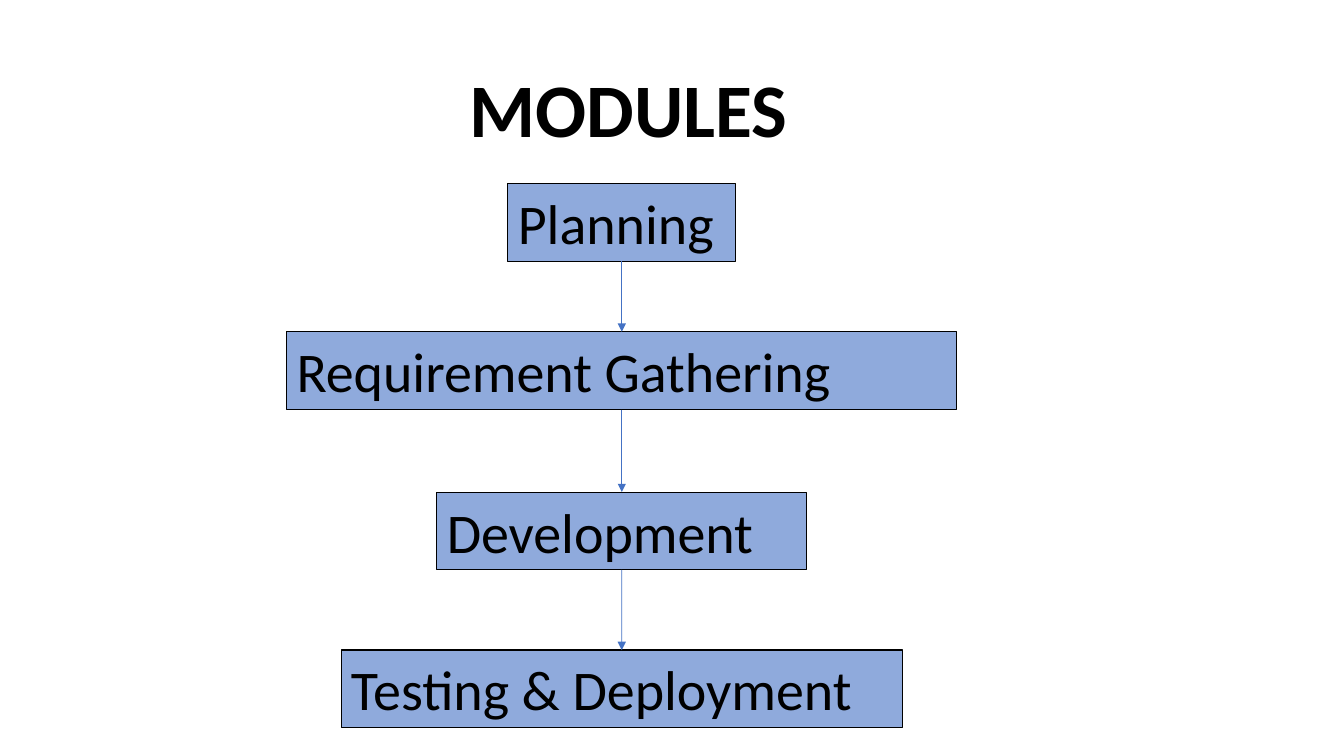
import itertools

import lxml.etree
import pptx
import pptx.dml.color
import pptx.enum.shapes
import pptx.enum.text
import pptx.oxml.ns
import pptx.util

Cm, Pt = pptx.util.Cm, pptx.util.Pt
rgb = pptx.dml.color.RGBColor.from_string
qn = pptx.oxml.ns.qn
text_enum = pptx.enum.text

# Content: heading and the modules as (label, top, width) in cm
HEADING = "MODULES"
MODULES = [
    ("Planning", 4.62, 5.74),
    ("Requirement Gathering", 8.36, 16.89),
    ("Development", 12.4, 9.32),
    ("Testing & Deployment", 16.38, 14.15),
]

# Layout in cm
SLIDE_SIZE = (33.87, 19.05)
HEADING_BOX = (1.24, 1.02, 29.21, 3.68)
FLOW_CENTRE = 15.67
MODULE_HEIGHT = 1.96

THEME = {
    "ink": rgb("000000"),
    "module_fill": rgb("8FAADC"),
    "arrow": rgb("4472C4"),
    "module_border": Pt(0.75),
    "arrow_width": Pt(0.5),
    "heading_font": {"name": "Calibri", "size": Pt(54), "bold": True},
    "module_font": {"name": "Calibri", "size": Pt(40), "bold": False},
}


def write(frame, text, font_format, frame_format, paragraph_format):
    paragraph = frame.paragraphs[0]
    run = paragraph.add_run()
    run.text = text
    run.font.color.rgb = THEME["ink"]
    for target, values in ((run.font, font_format), (frame, frame_format),
                           (paragraph, paragraph_format)):
        for key, value in values.items():
            setattr(target, key, value)


def add_module(slide, label, top, width):
    module = slide.shapes.add_shape(
        pptx.enum.shapes.MSO_SHAPE.RECTANGLE,
        Cm(FLOW_CENTRE - width / 2), Cm(top), Cm(width), Cm(MODULE_HEIGHT))
    module.shadow.inherit = False
    module.fill.solid()
    module.fill.fore_color.rgb = THEME["module_fill"]
    module.line.color.rgb = THEME["ink"]
    module.line.width = THEME["module_border"]
    write(module.text_frame, label, THEME["module_font"],
          {"word_wrap": True,
           "auto_size": text_enum.MSO_AUTO_SIZE.SHAPE_TO_FIT_TEXT,
           "vertical_anchor": text_enum.MSO_ANCHOR.TOP},
          {"alignment": text_enum.PP_ALIGN.LEFT})
    return module


def add_arrow(slide, upper, lower):
    arrow = slide.shapes.add_connector(
        pptx.enum.shapes.MSO_CONNECTOR.STRAIGHT, 0, 0, 0, 0)
    arrow.begin_connect(upper, 2)
    arrow.end_connect(lower, 0)
    arrow.line.color.rgb = THEME["arrow"]
    arrow.line.width = THEME["arrow_width"]
    properties = arrow.element.spPr
    lxml.etree.SubElement(properties.find(qn("a:ln")), qn("a:tailEnd"),
                          type="triangle")
    lxml.etree.SubElement(properties, qn("a:effectLst"))


def main():
    deck = pptx.Presentation()
    deck.slide_width, deck.slide_height = map(Cm, SLIDE_SIZE)
    slide = deck.slides.add_slide(deck.slide_layouts[6])

    # Heading
    heading = slide.shapes.add_textbox(*map(Cm, HEADING_BOX))
    write(heading.text_frame, HEADING, THEME["heading_font"],
          {"word_wrap": True, "vertical_anchor": text_enum.MSO_ANCHOR.MIDDLE},
          {"alignment": text_enum.PP_ALIGN.CENTER, "line_spacing": 0.9})

    # Modules, then an arrow from each one to the next
    modules = [add_module(slide, *module) for module in MODULES]
    for upper, lower in itertools.pairwise(modules):
        add_arrow(slide, upper, lower)

    deck.save("out.pptx")


if __name__ == "__main__":
    main()
